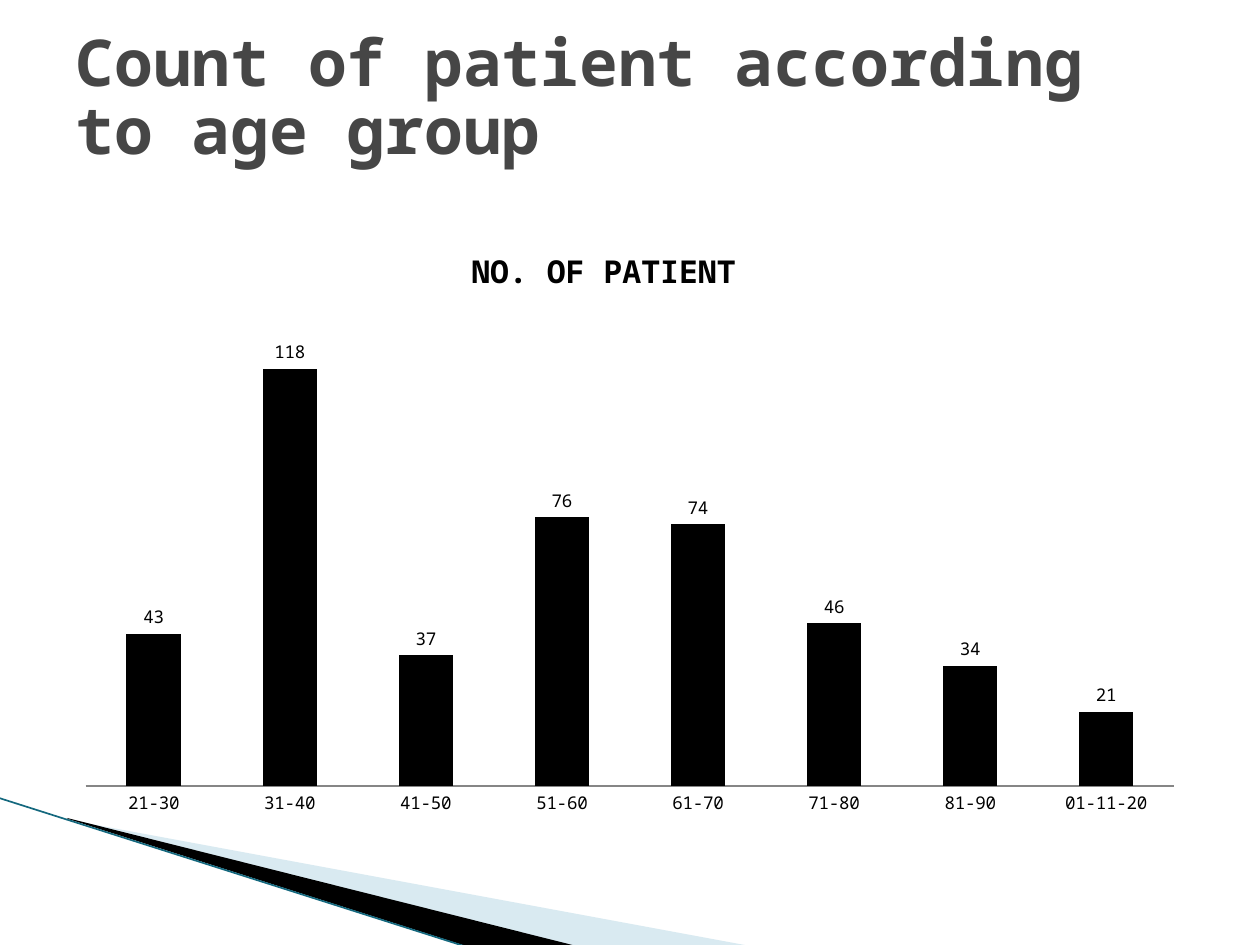
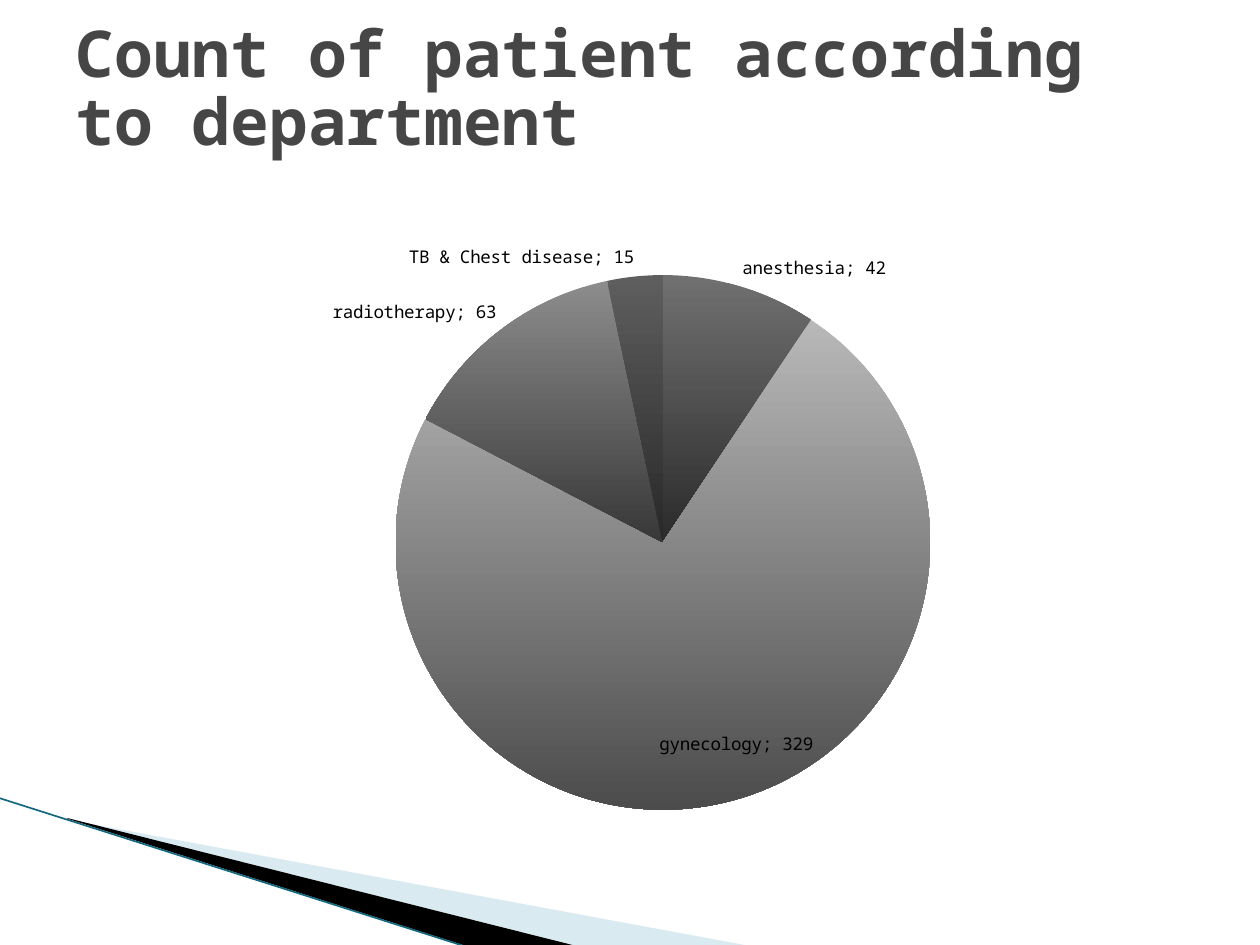
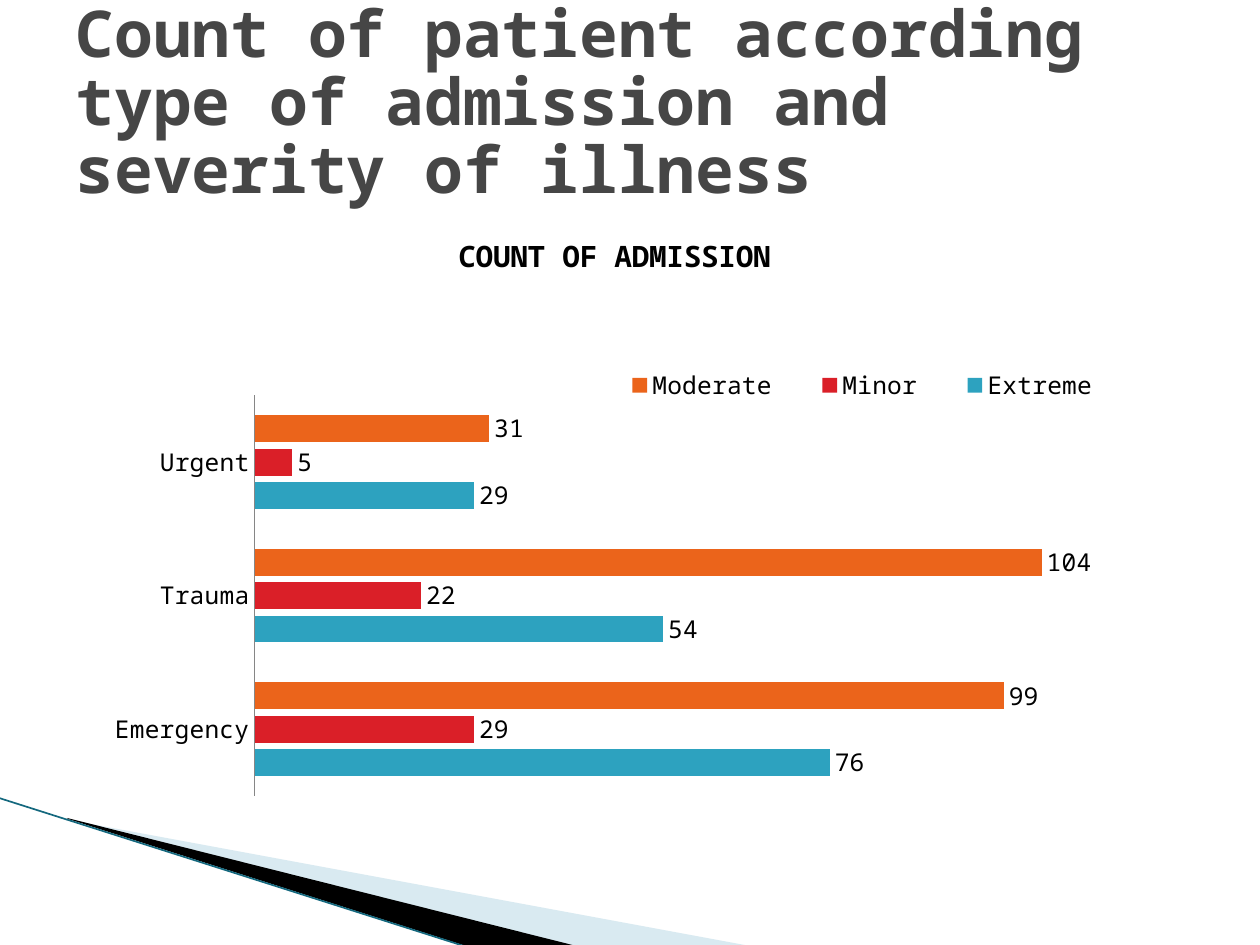
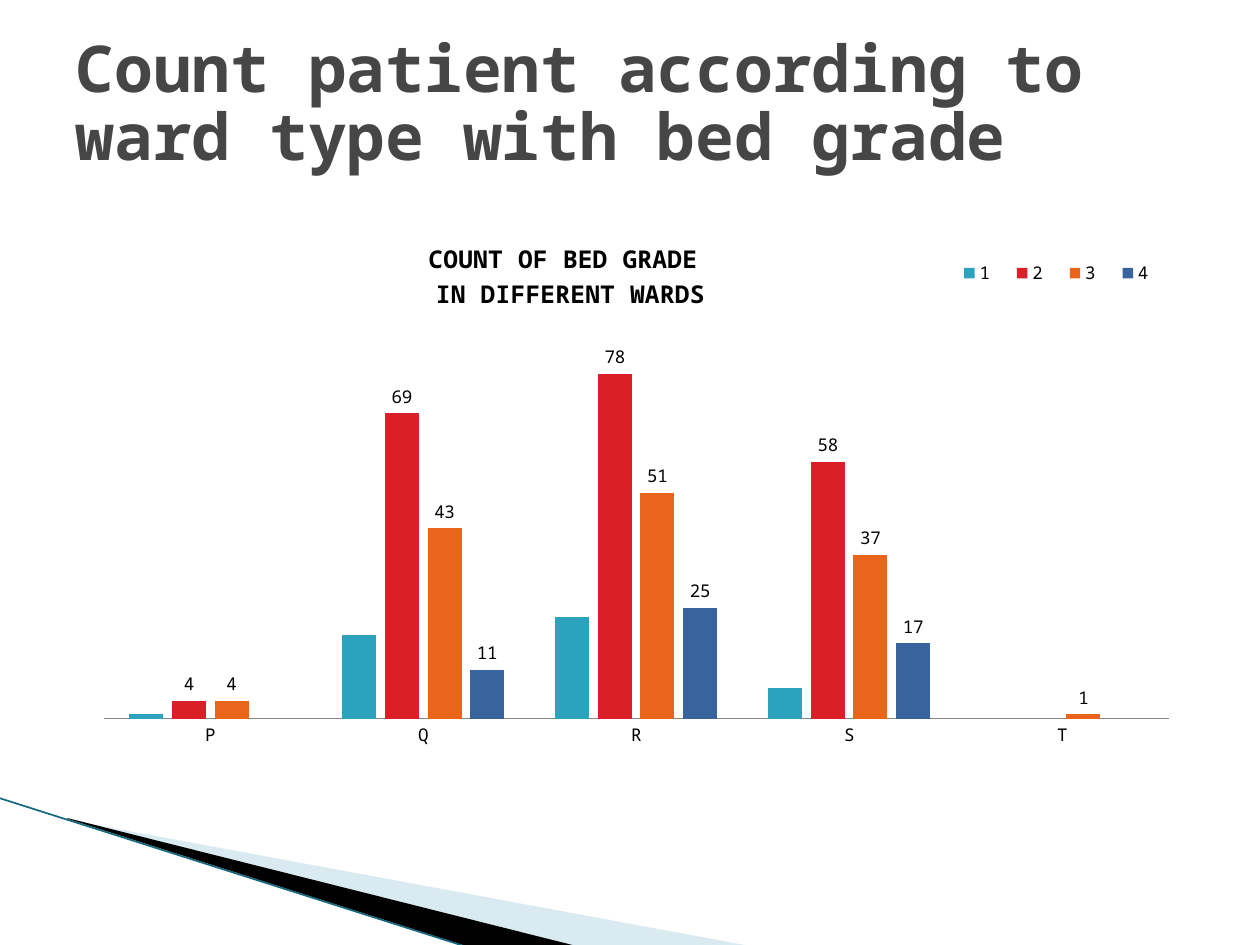
import pptx
import pptx.chart.data
import pptx.dml.color
import pptx.enum.chart
import pptx.enum.shapes
import pptx.enum.text
import pptx.oxml
import pptx.oxml.ns
import pptx.util
import lxml.etree

RGB = pptx.dml.color.RGBColor
BLACK = RGB(0x00, 0x00, 0x00)
TITLE_GREY = RGB(0x46, 0x46, 0x46)
AXIS_GREY = RGB(0x86, 0x86, 0x86)
PALE_BLUE = RGB(0xA0, 0xCB, 0xDC)
DARK_TEAL = RGB(0x14, 0x68, 0x7E)
TEAL = RGB(0x2D, 0xA2, 0xBF)
RED = RGB(0xDA, 0x1F, 0x28)
ORANGE = RGB(0xEB, 0x64, 0x1B)
BLUE = RGB(0x39, 0x63, 0x9D)
SLICE_GREYS = [
    (RGB(0x70, 0x70, 0x70), RGB(0x2B, 0x2B, 0x2B)),
    (RGB(0xB8, 0xB8, 0xB8), RGB(0x4C, 0x4C, 0x4C)),
    (RGB(0x8C, 0x8C, 0x8C), RGB(0x38, 0x38, 0x38)),
    (RGB(0x5E, 0x5E, 0x5E), RGB(0x28, 0x28, 0x28)),
]

FONT = "Noto Sans Mono"
SCALE = 914400 / 126
SLIDE_SIZE = (1260, 945)
CHART_BOX = (63, 204, 1134, 624)
COLUMN = pptx.enum.chart.XL_CHART_TYPE.COLUMN_CLUSTERED
BAR = pptx.enum.chart.XL_CHART_TYPE.BAR_CLUSTERED
PIE = pptx.enum.chart.XL_CHART_TYPE.PIE


def emu(*pixels):
    """Turn pixel lengths into EMU."""
    return [pptx.util.Emu(round(pixel * SCALE)) for pixel in pixels]


def style_font(font, size, color, bold):
    """Give a font the deck's typeface with a size, colour and weight."""
    font.name = FONT
    font.size = pptx.util.Pt(size)
    font.color.rgb = color
    font.bold = bold


def add_band(slide, points, color, opacity=100):
    """Draw one filled wedge and return it."""
    builder = slide.shapes.build_freeform(*points[0], scale=SCALE)
    builder.add_line_segments(points[1:], close=True)
    shape = builder.convert_to_shape()
    shape.shadow.inherit = False
    shape.fill.solid()
    shape.fill.fore_color.rgb = color
    shape.line.fill.background()
    if opacity < 100:
        fill_color = shape.element.spPr.find(".//" + pptx.oxml.ns.qn("a:srgbClr"))
        alpha = lxml.etree.SubElement(fill_color, pptx.oxml.ns.qn("a:alpha"))
        alpha.set("val", str(opacity * 1000))
    return shape


def decorate_layout(layout, slide):
    """Draw the corner wedges and edge line, and move them to the shared layout."""
    for placeholder in list(layout.placeholders):
        if placeholder.placeholder_format.idx:
            placeholder.element.getparent().remove(placeholder.element)
    pale = add_band(slide, [(69, 820), (750, 946), (575, 946), (69, 819)], PALE_BLUE, 40)
    dark = add_band(slide, [(67, 818), (576, 946), (469, 947), (68, 819)], BLACK)
    edge = slide.shapes.add_connector(
        pptx.enum.shapes.MSO_CONNECTOR.STRAIGHT, *emu(-1, 798, 467, 947))
    edge.line.color.rgb = DARK_TEAL
    edge.line.width = pptx.util.Pt(0.95)
    lxml.etree.SubElement(edge.element.spPr, pptx.oxml.ns.qn("a:effectLst"))
    for shape in (pale, dark, edge):
        layout.shapes.element.append(shape.element)


def add_title(slide, text, box):
    """Fill and place the slide's title placeholder."""
    title = slide.shapes.title
    title.left, title.top, title.width, title.height = emu(*box)
    frame = title.text_frame
    frame.word_wrap = True
    frame.auto_size = pptx.enum.text.MSO_AUTO_SIZE.NONE
    frame.vertical_anchor = pptx.enum.text.MSO_ANCHOR.MIDDLE
    paragraph = frame.paragraphs[0]
    paragraph.alignment = pptx.enum.text.PP_ALIGN.LEFT
    paragraph.line_spacing = 0.88
    run = paragraph.add_run()
    run.text = text
    style_font(run.font, 36.9, TITLE_GREY, True)


def set_layout(parent, before, fractions, inner=False):
    """Place a chart part by fractions of the chart: x, y and maybe width, height."""
    qn = pptx.oxml.ns.qn
    for old in parent.findall(qn("c:layout")):
        parent.remove(old)
    layout = pptx.oxml.parse_xml(
        "<c:layout %s><c:manualLayout/></c:layout>" % pptx.oxml.ns.nsdecls("c"))
    settings = [("layoutTarget", "inner")] if inner else []
    settings += [("xMode", "edge"), ("yMode", "edge")]
    settings += zip("xywh", fractions)
    for name, value in settings:
        lxml.etree.SubElement(layout[0], qn("c:" + name)).set("val", str(value))
    following = next((child for child in parent if child.tag in map(qn, before)), None)
    if following is None:
        parent.append(layout)
    else:
        following.addprevious(layout)


def chart_part(chart, tag):
    """Find the first XML element of a chart with the given tag."""
    return chart.element.find(".//" + pptx.oxml.ns.qn(tag))


def add_chart(slide, kind, categories, series, size, plot, box=CHART_BOX):
    """Add a chart of named value lists with the deck's font and a fixed plot area."""
    data = pptx.chart.data.CategoryChartData()
    data.categories = categories
    for name, values in series:
        data.add_series(name, values)
    chart = slide.shapes.add_chart(kind, *emu(*box), data).chart
    style_font(chart.font, size, BLACK, False)
    chart.has_legend = False
    chart.has_title = False
    set_layout(chart_part(chart, "c:plotArea"), ["c:barChart", "c:pieChart"], plot, inner=True)
    return chart


def add_chart_title(chart, lines, size, place):
    """Write a bold chart title at a fixed place."""
    chart.has_title = True
    frame = chart.chart_title.text_frame
    for index, line in enumerate(lines):
        paragraph = frame.add_paragraph() if index else frame.paragraphs[0]
        run = paragraph.add_run()
        run.text = line
        style_font(run.font, size, BLACK, True)
    set_layout(chart_part(chart, "c:title"), ["c:overlay", "c:spPr", "c:txPr"], place)


def add_legend(chart, place):
    """Show a legend in a fixed box."""
    chart.has_legend = True
    chart.legend.position = pptx.enum.chart.XL_LEGEND_POSITION.TOP
    chart.legend.include_in_layout = False
    set_layout(chart_part(chart, "c:legend"), ["c:overlay", "c:spPr", "c:txPr"], place)


def add_bars(slide, kind, categories, series, size, plot, maximum):
    """Add a clustered chart; each series is name, values, colour and label switch."""
    chart = add_chart(slide, kind, categories, [item[:2] for item in series], size, plot)
    bars = chart.plots[0]
    bars.gap_width = 150
    bars.overlap = -25
    bars.vary_by_categories = False
    for drawn, (_, _, color, labelled) in zip(bars.series, series):
        drawn.invert_if_negative = False
        drawn.format.fill.solid()
        drawn.format.fill.fore_color.rgb = color
        if labelled:
            drawn.data_labels.show_value = True
            drawn.data_labels.position = pptx.enum.chart.XL_LABEL_POSITION.OUTSIDE_END
    chart.value_axis.visible = False
    chart.value_axis.has_major_gridlines = False
    chart.value_axis.minimum_scale = 0
    chart.value_axis.maximum_scale = maximum
    axis = chart.category_axis
    axis.major_tick_mark = pptx.enum.chart.XL_TICK_MARK.NONE
    axis.minor_tick_mark = pptx.enum.chart.XL_TICK_MARK.NONE
    axis.format.line.color.rgb = AXIS_GREY
    axis.format.line.width = pptx.util.Pt(0.75)
    return chart


def age_slide(slide):
    """Patients by age group."""
    add_title(slide, "Count of patient according to age group", (63, 22, 1134, 156))
    ages = ["21-30", "31-40", "41-50", "51-60", "61-70", "71-80", "81-90", "01-11-20"]
    series = [("Series 1", [43, 118, 37, 76, 74, 46, 34, 21], BLACK, True)]
    chart = add_bars(slide, COLUMN, ages, series, 10, (0.02, 0.14, 0.96, 0.793), 140)
    add_chart_title(chart, ["NO. OF PATIENT"], 18, (0.355, 0.057))


def department_slide(slide):
    """Patients by department, as a pie."""
    add_title(slide, "Count of patient according to department", (63, 13, 1134, 156))
    departments = ["anesthesia", "gynecology", "radiotherapy", "TB & Chest disease"]
    chart = add_chart(slide, PIE, departments, [("Series 1", [42, 329, 63, 15])], 10,
                      (0.293, 0.114, 0.472, 0.857))
    pie = chart.plots[0]
    pie.vary_by_categories = True
    labels = pie.series[0].data_labels
    labels.show_value = True
    labels.show_category_name = True
    labels.show_percentage = False
    labels.position = pptx.enum.chart.XL_LABEL_POSITION.BEST_FIT
    for index, shades in enumerate(SLICE_GREYS):
        fill = pie.series[0].points[index].format.fill
        fill.gradient()
        fill.gradient_angle = 270
        for stop, shade in zip(fill.gradient_stops, shades):
            stop.color.rgb = shade


def admission_slide(slide):
    """Patients by type of admission and severity."""
    add_title(slide, "Count of patient according type of admission and severity of illness",
              (63, 0, 1134, 210))
    series = [
        ("Extreme", [76, 54, 29], TEAL, True),
        ("Minor", [29, 22, 5], RED, True),
        ("Moderate", [99, 104, 31], ORANGE, True),
    ]
    chart = add_bars(slide, BAR, ["Emergency", "Trauma", "Urgent"], series, 14,
                     (0.169, 0.307, 0.801, 0.642), 120)
    add_chart_title(chart, ["COUNT OF ADMISSION "], 16.8, (0.344, 0.038))
    add_legend(chart, (0.465, 0.263, 0.48, 0.055))


def ward_slide(slide):
    """Patients by ward type and bed grade."""
    add_title(slide, "Count patient according to ward type with bed grade",
              (63, 28, 1134, 156))
    series = [
        ("1", [1, 19, 23, 7, None], TEAL, False),
        ("2", [4, 69, 78, 58, None], RED, True),
        ("3", [4, 43, 51, 37, 1], ORANGE, True),
        ("4", [None, 11, 25, 17, None], BLUE, True),
    ]
    chart = add_bars(slide, COLUMN, list("PQRST"), series, 10,
                     (0.036, 0.187, 0.939, 0.638), 90)
    add_chart_title(chart, ["COUNT OF BED GRADE ", "IN DIFFERENT WARDS"], 14, (0.319, 0.052))
    add_legend(chart, (0.776, 0.087, 0.2, 0.048))


def main():
    """Build the four slides and save them."""
    presentation = pptx.Presentation()
    presentation.slide_width, presentation.slide_height = emu(*SLIDE_SIZE)
    layout = presentation.slide_layouts[5]
    builders = [age_slide, department_slide, admission_slide, ward_slide]
    for index, build in enumerate(builders):
        slide = presentation.slides.add_slide(layout)
        if index == 0:
            decorate_layout(layout, slide)
        build(slide)
    presentation.save("out.pptx")


main()
